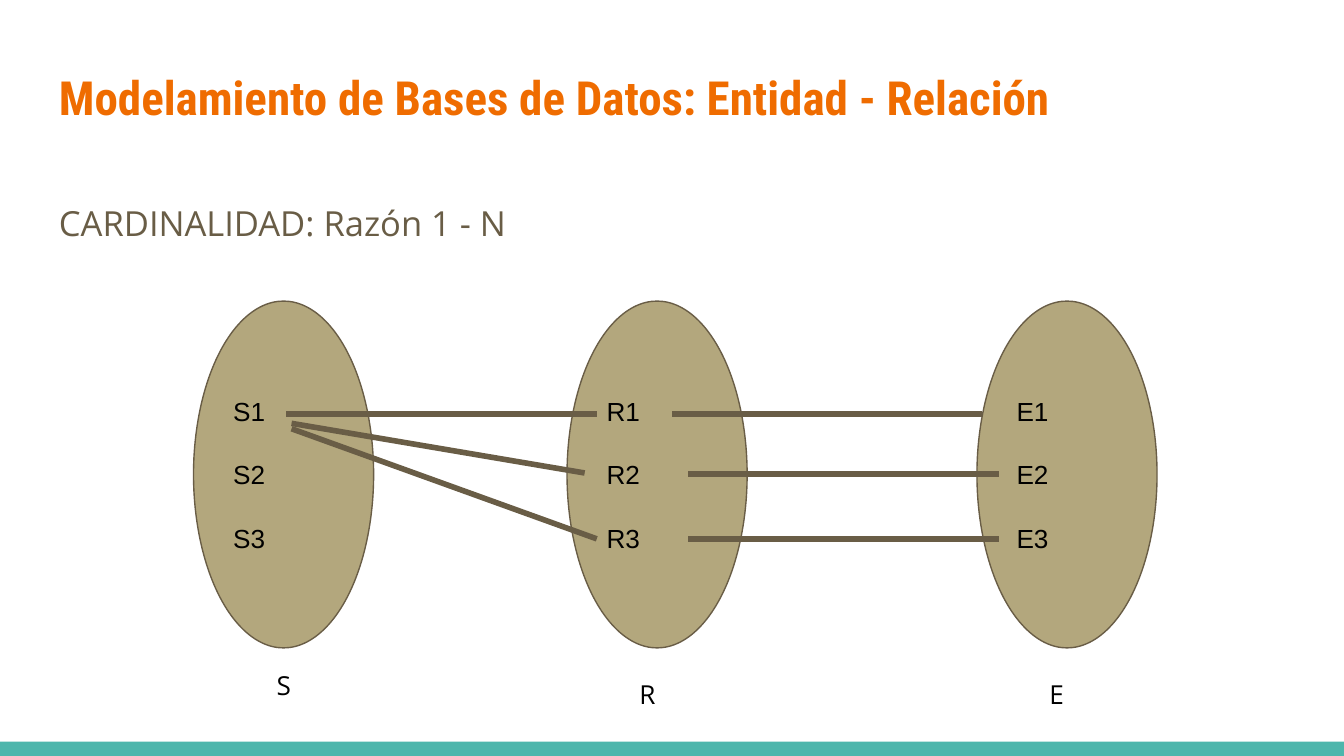
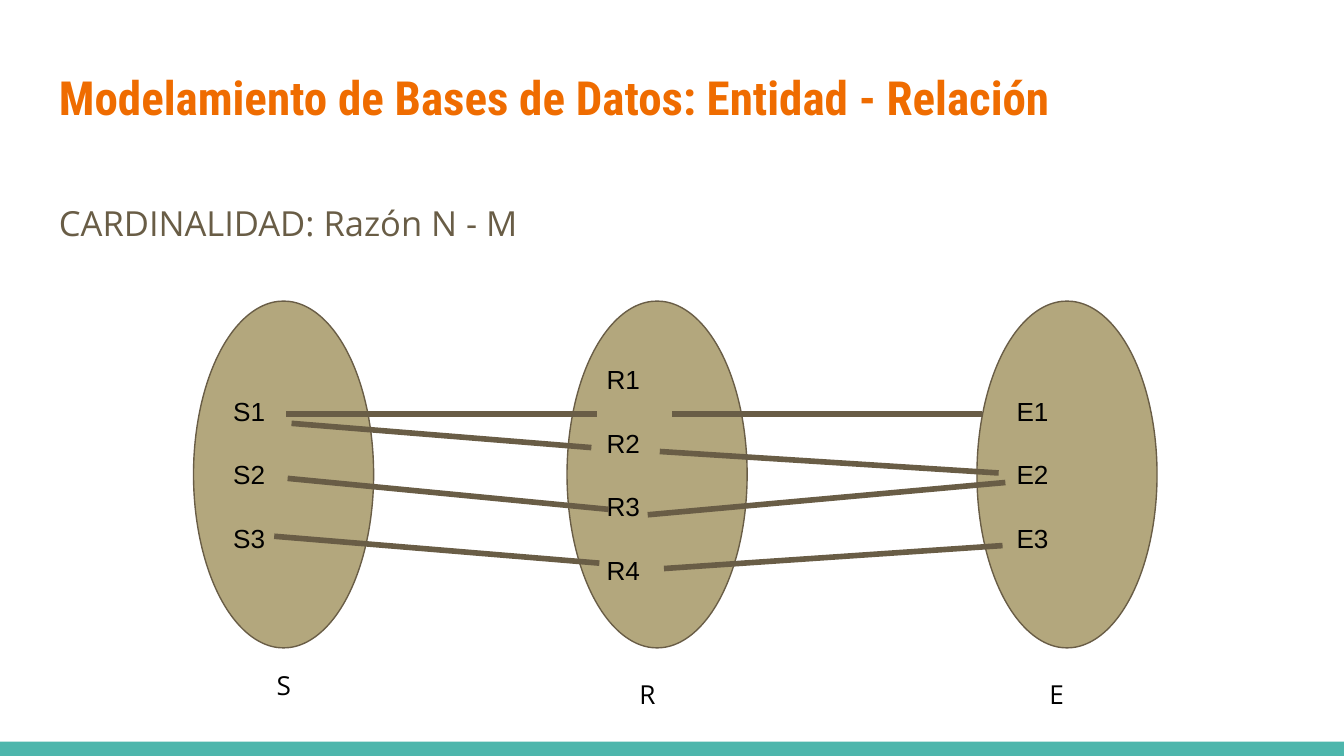
"""Build two slides on the cardinality of entity-relationship sets."""
from lxml.etree import SubElement as Sub
from pptx import Presentation
from pptx.dml.color import RGBColor
from pptx.enum.shapes import MSO_CONNECTOR as Conn, MSO_SHAPE as Kind
from pptx.enum.text import MSO_ANCHOR as Anchor, MSO_AUTO_SIZE as Auto, PP_ALIGN as Align
from pptx.oxml.ns import qn
from pptx.util import Pt

TITLE = "Modelamiento de Bases de Datos: Entidad - Relación"
SLIDES = [
    {
        "head": "CARDINALIDAD: Razón 1 - N",
        "sizes": {"S": 3, "R": 3, "E": 3},
        "links": [
            (153.4, 221.8, 319.7, 221.8),
            (156.2, 226.8, 313.2, 253.4),
            (156.2, 229.7, 319.7, 288.7),
            (360, 221.8, 526.3, 221.8),
            (368.6, 254, 535, 254),
            (368.6, 288.7, 535, 288.7),
        ],
    },
    {
        "head": "CARDINALIDAD: Razón N - M",
        "sizes": {"S": 3, "R": 4, "E": 3},
        "links": [
            (153.4, 221.8, 319.7, 221.8),
            (156.2, 226.8, 316.8, 239.8),
            (154.1, 256.3, 326.2, 272.9),
            (360, 221.8, 526.3, 221.8),
            (353.5, 241.9, 535, 253.4),
            (347, 275.8, 538.6, 258.5),
            (146.9, 287.3, 321.1, 301.7),
            (355.7, 304.6, 537.1, 292.3),
        ],
    },
]
SETS = {"S": (103.7, 141.1, 351.4), "R": (303.8, 335.5, 356.4), "E": (523.4, 555.1, 356.4)}

WIDE, HIGH, BAND = 720, 405, 7.6
LEFT, SPAN = 24.5, 671
TOP, OVAL_W, OVAL_H = 161.3, 96.5, 185.8
TEAL, ORANGE, BROWN, SAND, BLACK = "4DB6AC", "EF6C00", "695D46", "B3A77D", "000000"

FONTS = {
    "title": ({"name": "Roboto Condensed", "size": Pt(25.2), "bold": True}, ORANGE),
    "head": ({"name": "Open Sans", "size": Pt(18.5)}, BROWN),
    "label": ({"name": "Open Sans", "size": Pt(14)}, BLACK),
    "item": ({"name": "Arial", "size": Pt(14)}, BLACK),
}
PARAS = {
    "title": {"line_spacing": 0.8},
    "head": {"line_spacing": 1.05, "space_after": Pt(12)},
}
FRAME = {f"margin_{side}": Pt(7.2) for side in ("left", "top", "right", "bottom")}


def put(part, vals):
    for key, val in vals.items():
        setattr(part, key, val)


def tint(part, code):
    part.rgb = RGBColor.from_string(code)


def write(shape, lines, style, gap=0, **extra):
    frame = shape.text_frame
    put(frame, {**FRAME, "word_wrap": True, **extra})
    font, code = FONTS[style]
    for num, line in enumerate(lines):
        para = frame.add_paragraph() if num else frame.paragraphs[0]
        put(para, {"alignment": Align.LEFT, **PARAS.get(style, {})})
        if num:
            para.space_before = Pt(gap)
        run = para.add_run()
        run.text = line
        put(run.font, font)
        tint(run.font.color, code)


def text(slide, box, line, style, **extra):
    write(slide.shapes.add_textbox(*map(Pt, box)), [line], style, **extra)


def shape(slide, kind, box, fill, edge=None):
    part = slide.shapes.add_shape(kind, *map(Pt, box))
    part.shadow.inherit = False
    part.fill.solid()
    tint(part.fill.fore_color, fill)
    if edge:
        part.line.width = Pt(0.75)
        tint(part.line.color, edge)
    else:
        part.line.fill.background()
    return part


def link(slide, ends):
    part = slide.shapes.add_connector(Conn.STRAIGHT, *map(Pt, ends))
    part.line.width = Pt(3)
    tint(part.line.color, BROWN)
    Sub(part._element.spPr, qn("a:effectLst"))


def draw(slide, data):
    shape(slide, Kind.RECTANGLE, (0, HIGH - BAND, WIDE, BAND), TEAL)
    text(slide, (LEFT, 35.3, SPAN, 55.4), TITLE, "title")
    text(slide, (LEFT, 100, SPAN, 39), data["head"], "head")
    for name, count in data["sizes"].items():
        oval = shape(slide, Kind.OVAL, (SETS[name][0], TOP, OVAL_W, OVAL_H), SAND, BROWN)
        items = [f"{name}{num}" for num in range(1, count + 1)]
        write(oval, items, "item", 17.4, vertical_anchor=Anchor.MIDDLE)
    for name, (_, left, top) in SETS.items():
        text(slide, (left, top, 33, 31), name, "label", auto_size=Auto.SHAPE_TO_FIT_TEXT)
    for ends in data["links"]:
        link(slide, ends)


def main():
    deck = Presentation()
    put(deck, {"slide_width": Pt(WIDE), "slide_height": Pt(HIGH)})
    for data in SLIDES:
        draw(deck.slides.add_slide(deck.slide_layouts[6]), data)
    deck.save("out.pptx")


if __name__ == "__main__":
    main()
